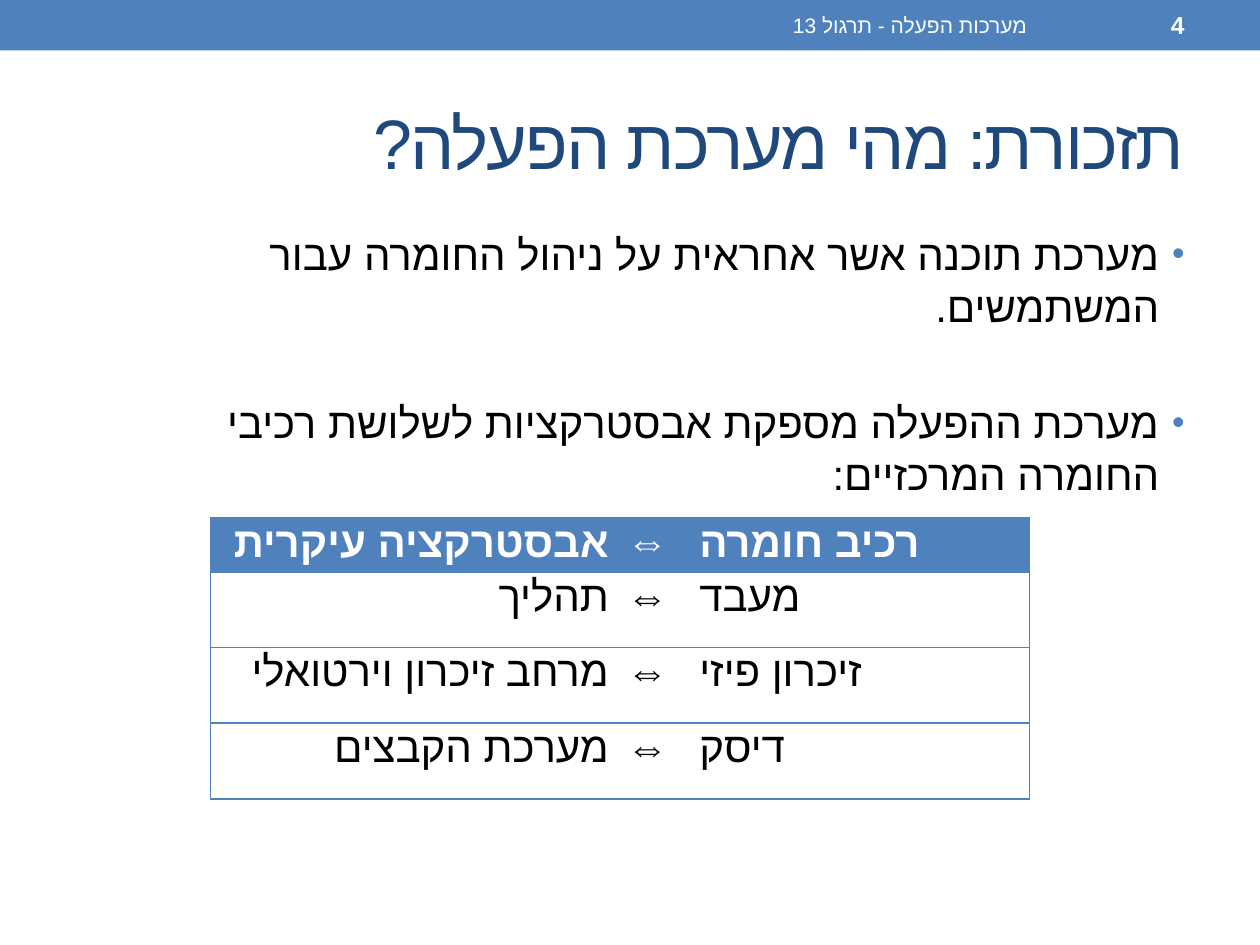
from dataclasses import dataclass
from typing import NamedTuple, Optional

from lxml.etree import SubElement
from pptx import Presentation
from pptx.dml.color import RGBColor as RGB
from pptx.enum.shapes import MSO_SHAPE as Shape
from pptx.enum.text import MSO_ANCHOR as Anchor, PP_ALIGN as Align
from pptx.oxml import parse_xml
from pptx.oxml.ns import nsdecls, qn
from pptx.util import Inches, Pt


@dataclass(frozen=True)
class Theme:
    blue: str = "4F81BD"
    navy: str = "1F497D"
    white: str = "FFFFFF"
    black: str = "000000"
    font: str = "Courier New"
    table_font: str = "Arial"
    hebrew_font: str = "Arial"
    title: int = 40
    body: int = 24
    number: int = 14
    footer: int = 12


THEME = Theme()


class Box(NamedTuple):
    left: float
    top: float
    width: float
    height: float

    def lengths(self):
        return [Inches(v) for v in self]


class Style(NamedTuple):
    size: int
    color: str
    bold: bool = False
    font: str = THEME.font
    spacing: Optional[float] = None


class Label(NamedTuple):
    box: Box
    text: str
    style: Style


class Pair(NamedTuple):
    hardware: str
    abstraction: str


TITLE = Label(Box(0.5, 0.58, 9, 1.08), "תזכורת: מהי מערכת הפעלה?",
              Style(THEME.title, THEME.navy, spacing=-1))
BAR_LABELS = [
    Label(Box(3.75, 0.02, 4.5, 0.36), "מערכות הפעלה - תרגול 13", Style(THEME.footer, THEME.white)),
    Label(Box(8.33, 0.02, 1.17, 0.36), "4", Style(THEME.number, THEME.white, bold=True)),
]
BULLETS = [
    "מערכת תוכנה אשר אחראית על ניהול החומרה עבור המשתמשים.",
    "מערכת ההפעלה מספקת אבסטרקציות לשלושת רכיבי החומרה המרכזיים:",
]
PAIRS = [
    Pair("רכיב חומרה", "אבסטרקציה עיקרית"),
    Pair("מעבד", "תהליך"),
    Pair("זיכרון פיזי", "מרחב זיכרון וירטואלי"),
    Pair("דיסק", "מערכת הקבצים"),
]


def add_run(p, text: str, style: Style) -> None:
    r = p.add_run()
    r.text = text
    f = r.font
    f.size, f.bold, f.name = Pt(style.size), style.bold, style.font
    f.color.rgb = RGB.from_string(style.color)
    rPr = r._r.get_or_add_rPr()
    SubElement(rPr, qn("a:cs")).set("typeface", THEME.hebrew_font)
    if style.spacing is not None:
        rPr.set("spc", str(round(style.spacing * 100)))


def set_rtl(p, align=Align.RIGHT) -> None:
    p.alignment = align
    p._p.get_or_add_pPr().set("rtl", "1")


def fill_label(sp, label: Label) -> None:
    sp.left, sp.top, sp.width, sp.height = label.box.lengths()
    tf = sp.text_frame
    tf.word_wrap, tf.vertical_anchor = True, Anchor.MIDDLE
    p = tf.paragraphs[0]
    set_rtl(p)
    add_run(p, label.text, label.style)


def add_bar(slide) -> None:
    sp = slide.shapes.add_shape(Shape.RECTANGLE, *Box(0, 0, 10, 0.4).lengths())
    sp.shadow.inherit = False
    sp.fill.solid()
    sp.fill.fore_color.rgb = RGB.from_string(THEME.blue)
    sp.line.fill.background()


def add_bullets(slide, box: Box, texts: list[str]) -> None:
    tf = slide.shapes.add_textbox(*box.lengths()).text_frame
    tf.word_wrap = True
    for i, text in enumerate(texts):
        p = tf.add_paragraph() if i else tf.paragraphs[0]
        set_rtl(p)
        p.line_spacing = Pt(29.7)
        p.space_before = Pt(37 if i else 5)
        pPr = p._p.get_or_add_pPr()
        pPr.set("marL", str(Inches(0.2)))
        pPr.set("indent", str(-Inches(0.2)))
        SubElement(SubElement(pPr, qn("a:buClr")), qn("a:srgbClr")).set("val", THEME.blue)
        SubElement(pPr, qn("a:buSzPct")).set("val", "85000")
        SubElement(pPr, qn("a:buFont")).set("typeface", "Arial")
        SubElement(pPr, qn("a:buChar")).set("char", "•")
        add_run(p, text, Style(THEME.body, THEME.black))


def set_borders(cell, open_side: str) -> None:
    """Draw a thin line on every side of the cell but the open one."""
    tcPr = cell._tc.get_or_add_tcPr()
    for i, side in enumerate("LRTB"):
        paint = ("<a:noFill/>" if side == open_side else
                 f'<a:solidFill><a:srgbClr val="{THEME.blue}"/></a:solidFill>')
        tcPr.insert(i, parse_xml(f'<a:ln{side} {nsdecls("a")} w="{Pt(1)}">{paint}</a:ln{side}>'))


def format_cell(cell, fill: str, align, open_side: str):
    cell.fill.solid()
    cell.fill.fore_color.rgb = RGB.from_string(fill)
    cell.margin_top = cell.margin_bottom = Inches(0.01)
    set_borders(cell, open_side)
    p = cell.text_frame.paragraphs[0]
    set_rtl(p, align)
    return p


def add_pairs_table(slide, box: Box, pairs: list[Pair]) -> None:
    table = slide.shapes.add_table(len(pairs), 2, *box.lengths()).table
    table.first_row = table.horz_banding = False
    for column, width in zip(table.columns, (3.78, 2.72)):
        column.width = Inches(width)
    for i, pair in enumerate(pairs):
        header = i == 0
        table.rows[i].height = Inches(0.43 if header else 0.6)
        fill = THEME.blue if header else THEME.white
        style = Style(THEME.body, THEME.white if header else THEME.black, header, THEME.table_font)
        p = format_cell(table.cell(i, 0), fill, Align.RIGHT, "R")
        add_run(p, "⇔ ", style._replace(spacing=3.3))
        add_run(p, pair.abstraction, style)
        p = format_cell(table.cell(i, 1), fill, Align.LEFT, "L")
        add_run(p, pair.hardware, style)


def main() -> None:
    prs = Presentation()
    prs.slide_width, prs.slide_height = Inches(10), Inches(7.5)
    slide = prs.slides.add_slide(prs.slide_layouts[5])
    add_bar(slide)
    fill_label(slide.shapes.title, TITLE)
    add_bullets(slide, Box(0.5, 1.75, 9, 5.33), BULLETS)
    for label in BAR_LABELS:
        fill_label(slide.shapes.add_textbox(*label.box.lengths()), label)
    add_pairs_table(slide, Box(1.67, 4.11, 6.5, 2.23), PAIRS)
    prs.save("out.pptx")


if __name__ == "__main__":
    main()
